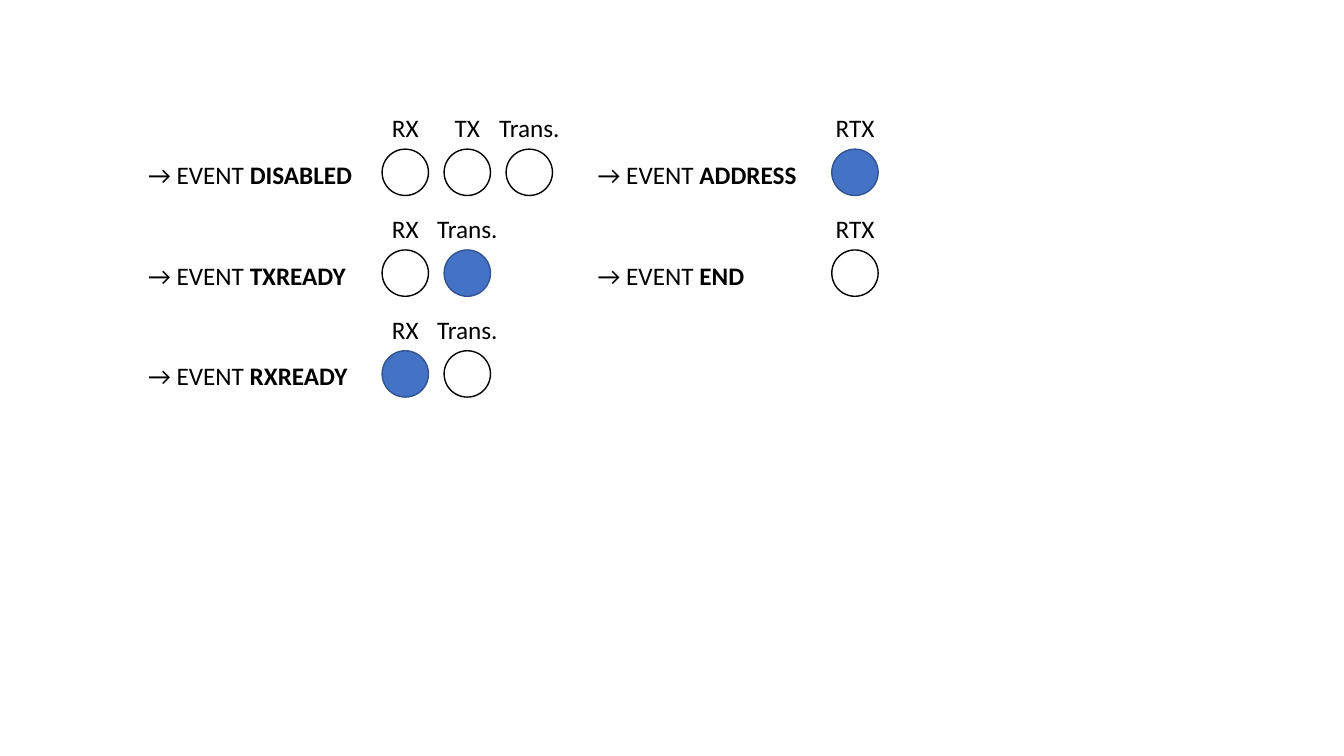
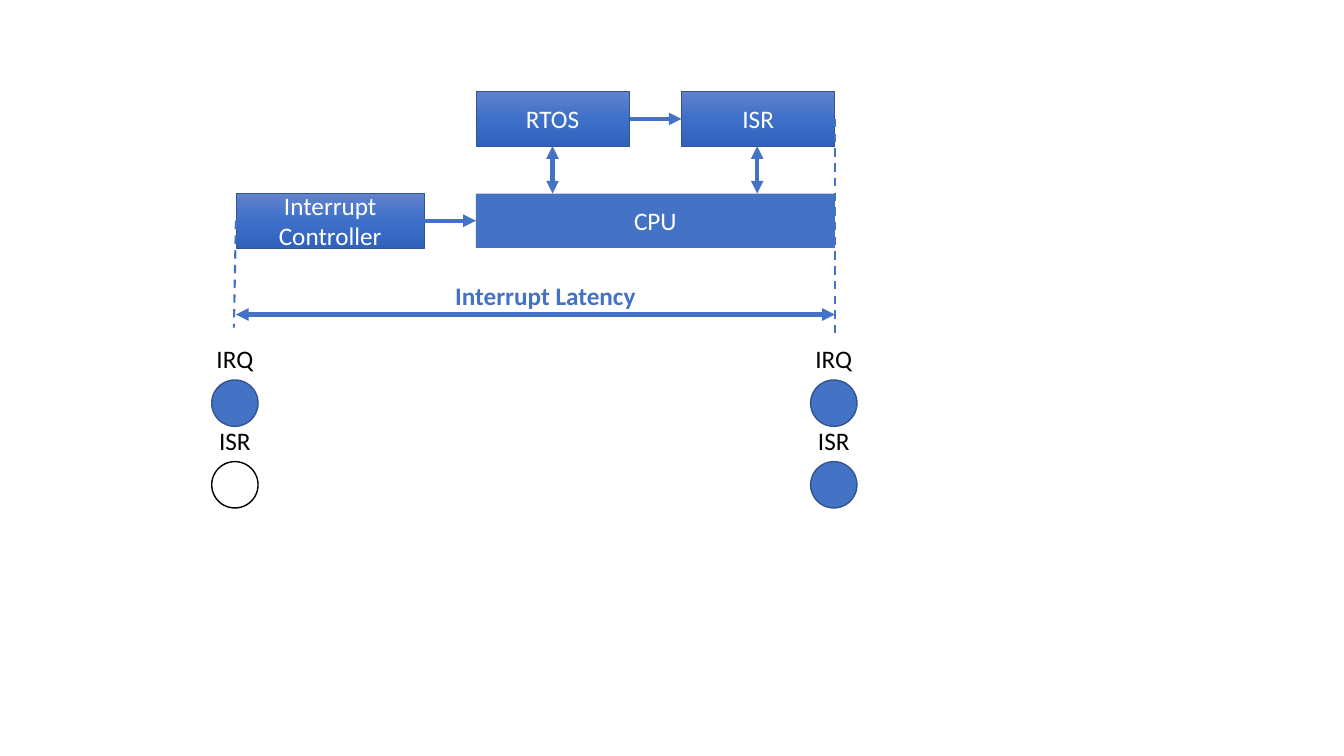
"""Build two slides: radio event states and the interrupt latency path."""
from copy import deepcopy
from dataclasses import dataclass

from lxml import etree
from pptx import Presentation
from pptx.dml.color import RGBColor
from pptx.enum.dml import MSO_LINE
from pptx.enum.shapes import MSO_CONNECTOR, MSO_SHAPE
from pptx.enum.text import MSO_ANCHOR, MSO_AUTO_SIZE, PP_ALIGN
from pptx.oxml.ns import qn
from pptx.util import Inches, Pt

CENTER, LEFT = PP_ALIGN.CENTER, PP_ALIGN.LEFT
MIDDLE = MSO_ANCHOR.MIDDLE
GROW = MSO_AUTO_SIZE.SHAPE_TO_FIT_TEXT
OVAL, RECTANGLE = MSO_SHAPE.OVAL, MSO_SHAPE.RECTANGLE
STRAIGHT, DASH = MSO_CONNECTOR.STRAIGHT, MSO_LINE.DASH


@dataclass(frozen=True)
class Theme:
    font: str = "Calibri"
    size: Pt = Pt(18)
    black: RGBColor = RGBColor(0, 0, 0)
    white: RGBColor = RGBColor(255, 255, 255)
    blue: RGBColor = RGBColor.from_string("4472C4")
    outline: RGBColor = RGBColor.from_string("325491")
    gradient: tuple = ((0, "6183CB"), (0.5, "3E70CA"), (1, "3062BB"))
    thin: Pt = Pt(1)
    edge: Pt = Pt(0.5)
    guide: Pt = Pt(1.5)
    arrow: Pt = Pt(3)


THEME = Theme()
LAMP_SIZE = 0.46
LABEL_HEIGHT = 0.4
LABEL_RISE = 0.41
LABEL_WIDTHS = {"RX": 0.47, "TX": 0.46, "Trans.": 0.81, "RTX": 0.59,
                "IRQ": 0.57, "ISR": 0.52}


def add_label(slide, left, top, width, runs, color=THEME.black, align=CENTER):
    frame = slide.shapes.add_textbox(
        Inches(left), Inches(top), Inches(width), Inches(LABEL_HEIGHT)).text_frame
    frame.word_wrap = False
    frame.auto_size = GROW
    paragraph = frame.paragraphs[0]
    paragraph.alignment = align
    for words, bold in runs:
        run = paragraph.add_run()
        run.text = words
        run.font.name, run.font.size = THEME.font, THEME.size
        run.font.bold = bold
        run.font.color.rgb = color


def add_lamp(slide, center, top, label, lit):
    lamp = slide.shapes.add_shape(
        OVAL, Inches(center - LAMP_SIZE / 2), Inches(top),
        Inches(LAMP_SIZE), Inches(LAMP_SIZE))
    lamp.shadow.inherit = False
    lamp.fill.solid()
    lamp.fill.fore_color.rgb = THEME.blue if lit else THEME.white
    lamp.line.color.rgb = THEME.outline if lit else THEME.black
    lamp.line.width = THEME.thin
    width = LABEL_WIDTHS[label]
    add_label(slide, center - width / 2, top - LABEL_RISE, width, [(label, False)])


deck = Presentation()
deck.slide_width, deck.slide_height = Inches(13.33), Inches(7.5)
blank = deck.slide_layouts[6]

events_slide = deck.slides.add_slide(blank)
LAMP_PITCH = 0.615
event_columns = [
    (1.37, 4.02, [
        ("DISABLED", 2.25, [("RX", False), ("TX", False), ("Trans.", False)]),
        ("TXREADY", 2.18, [("RX", False), ("Trans.", True)]),
        ("RXREADY", 2.2, [("RX", True), ("Trans.", False)])]),
    (5.83, 8.48, [
        ("ADDRESS", 2.19, [("RTX", True)]),
        ("END", 1.66, [("RTX", False)])]),
]
for text_left, first_center, events in event_columns:
    for row, (event, width, lamps) in enumerate(events):
        add_label(events_slide, text_left, 1.53 + row, width,
                  [("→ EVENT ", False), (event, True)], align=LEFT)
        for position, (label, lit) in enumerate(lamps):
            add_lamp(events_slide, first_center + position * LAMP_PITCH,
                     1.48 + row, label, lit)

latency_slide = deck.slides.add_slide(blank)
START, END = 2.34, 8.28
SOFTWARE_TOP, HARDWARE_TOP, BLOCK_HEIGHT = 0.91, 1.92, 0.54
software_mid = SOFTWARE_TOP + BLOCK_HEIGHT / 2
hardware_mid = HARDWARE_TOP + BLOCK_HEIGHT / 2
software_bottom = SOFTWARE_TOP + BLOCK_HEIGHT

blocks = [
    ("CPU", 4.72, HARDWARE_TOP, 3.56, False),
    ("Interrupt Controller", START, HARDWARE_TOP, 1.87, True),
    ("ISR", 6.76, SOFTWARE_TOP, 1.52, True),
    ("RTOS", 4.72, SOFTWARE_TOP, 1.52, True),
]
for caption, left, top, width, shaded in blocks:
    block = latency_slide.shapes.add_shape(
        RECTANGLE, Inches(left), Inches(top), Inches(width), Inches(BLOCK_HEIGHT))
    block.shadow.inherit = False
    if shaded:
        block.fill.gradient()
        block.fill.gradient_angle = 270
        stop_list = block.element.spPr.find(qn("a:gradFill")).find(qn("a:gsLst"))
        stop_list.insert(1, deepcopy(stop_list[0]))
        for stop, (place, shade) in zip(block.fill.gradient_stops, THEME.gradient):
            stop.position = place
            stop.color.rgb = RGBColor.from_string(shade)
        block.line.color.rgb = THEME.outline
        block.line.width = THEME.edge
    else:
        block.fill.solid()
        block.fill.fore_color.rgb = THEME.blue
        block.line.fill.background()
    frame = block.text_frame
    frame.word_wrap = True
    frame.vertical_anchor = MIDDLE
    frame.paragraphs[0].alignment = CENTER
    run = frame.paragraphs[0].add_run()
    run.text = caption
    run.font.name, run.font.size = THEME.font, THEME.size
    run.font.color.rgb = THEME.white

FORWARD, BOTH, GUIDE = ("tailEnd",), ("headEnd", "tailEnd"), ()
links = [
    (4.2, hardware_mid, 4.72, hardware_mid, FORWARD),
    (6.25, software_mid, 6.76, software_mid, FORWARD),
    (5.48, software_bottom, 5.48, HARDWARE_TOP, BOTH),
    (7.51, software_bottom, 7.51, HARDWARE_TOP, BOTH),
    (START, hardware_mid, 2.32, 3.25, GUIDE),
    (END, software_mid, END, 3.32, GUIDE),
    (START, 3.12, END, 3.12, BOTH),
]
for x1, y1, x2, y2, heads in links:
    link = latency_slide.shapes.add_connector(
        STRAIGHT, Inches(x1), Inches(y1), Inches(x2), Inches(y2))
    link.line.color.rgb = THEME.blue
    link.line.width = THEME.arrow if heads else THEME.guide
    if not heads:
        link.line.dash_style = DASH
    properties = link.element.spPr
    for head in heads:
        etree.SubElement(properties.find(qn("a:ln")), qn(f"a:{head}"), type="triangle")
    etree.SubElement(properties, qn("a:effectLst"))

for center, isr_lit in [(2.33, False), (8.27, True)]:
    add_lamp(latency_slide, center, 3.77, "IRQ", True)
    add_lamp(latency_slide, center, 4.58, "ISR", isr_lit)
add_label(latency_slide, 4.41, 2.73, 2, [("Interrupt Latency", True)], THEME.blue)

deck.save("out.pptx")
